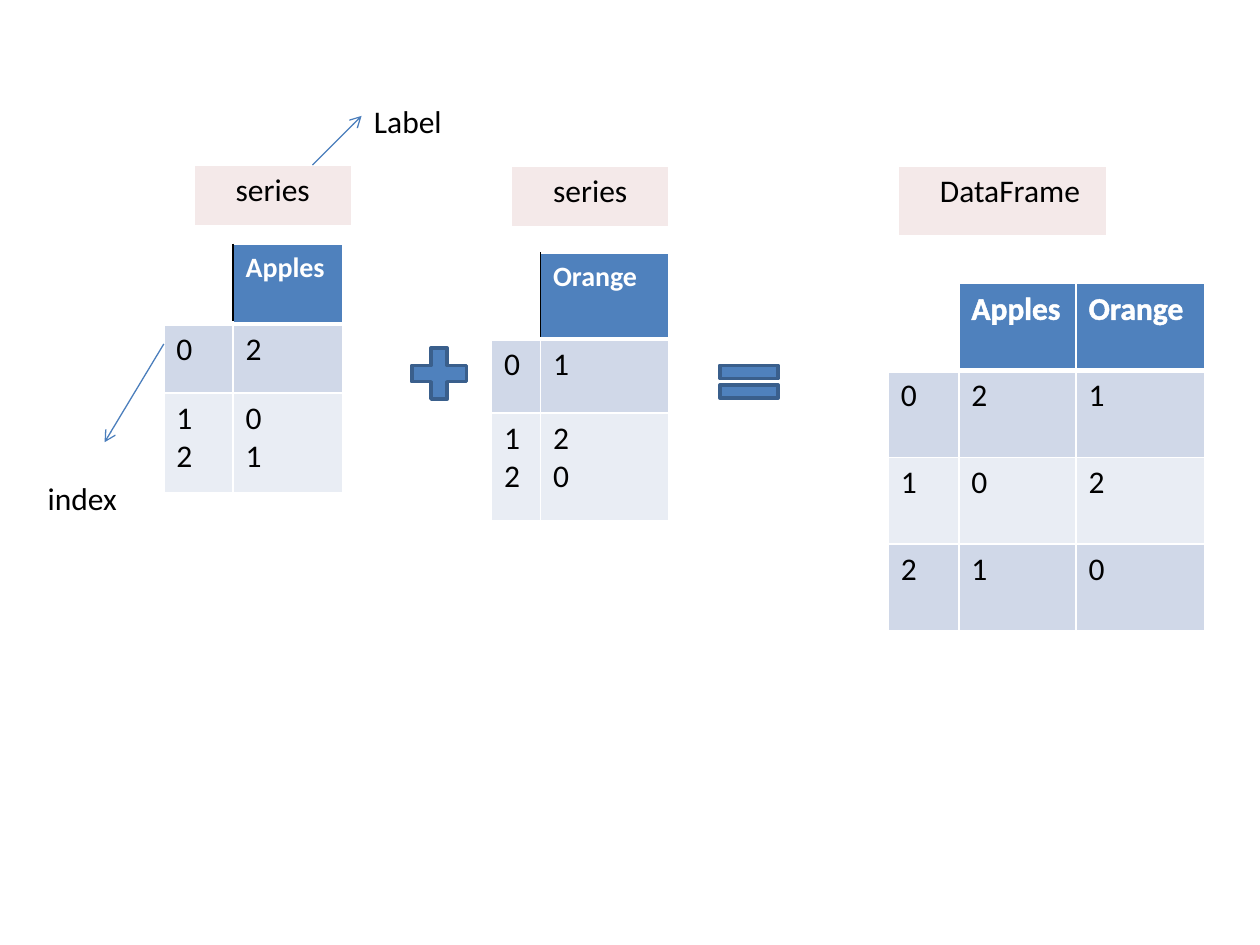
"""Build a slide showing two labelled series combining into a DataFrame."""
from lxml.etree import SubElement
from pptx import Presentation
from pptx.dml.color import RGBColor
from pptx.enum.shapes import MSO_CONNECTOR, MSO_SHAPE
from pptx.oxml import parse_xml
from pptx.oxml.ns import nsdecls, qn
from pptx.util import Inches, Pt

COLORS = {
    "white": "FFFFFF",
    "black": "000000",
    "header": "4F81BD",
    "odd_row": "D0D8E8",
    "even_row": "E9EDF4",
    "heading": "F4E9E9",
    "arrow": "4B7EBC",
    "operator_line": "3A5F8C",
}


def rgb(name):
    return RGBColor.from_string(COLORS[name])


def line_xml(tag, color, width):
    return parse_xml(
        f'<a:{tag} {nsdecls("a")} w="{Pt(width)}"><a:solidFill>'
        f'<a:srgbClr val="{COLORS[color]}"/></a:solidFill></a:{tag}>'
    )


class SeriesSlide:
    """Hold the text style and the current slide, and draw its elements."""

    def __init__(self, slide, font="Calibri", size=18):
        self.slide = slide
        self.font = font
        self.size = size

    def style_text(self, frame, color="black", size=None, bold=False, outlined=False):
        for paragraph in frame.paragraphs:
            for run in paragraph.runs:
                run.font.name = self.font
                run.font.size = Pt(size or self.size)
                run.font.bold = bold
                run.font.color.rgb = rgb(color)
                if outlined:
                    run.font._element.insert(0, line_xml("ln", color, 0.75))

    def style_cell(self, cell, fill, **special_borders):
        properties = cell._tc.get_or_add_tcPr()
        for side in "LRTB":
            color, width = special_borders.get(side, ("white", 1))
            properties.append(line_xml(f"ln{side}", color, width))
        cell.fill.solid()
        cell.fill.fore_color.rgb = rgb(fill)

    def grid(self, left, top, widths, heights):
        frame = self.slide.shapes.add_table(
            len(heights), len(widths), Inches(left), Inches(top),
            Inches(sum(widths)), Inches(sum(heights)),
        )
        table = frame.table
        table.horz_banding = False
        for column, width in zip(table.columns, widths):
            column.width = Inches(width)
        for row, height in zip(table.rows, heights):
            row.height = Inches(height)
        return table

    def heading(self, text, left, top, width, height):
        table = self.grid(left, top, [width], [height])
        table.first_row = False
        cell = table.cell(0, 0)
        cell.text = text
        cell.margin_left = Inches(0.33)
        self.style_text(cell.text_frame)
        self.style_cell(cell, "heading")

    def data_table(self, rows, left, top, widths, heights,
                   header_size=18, divider=("white", 1), outlined=False):
        table = self.grid(left, top, widths, heights)
        rule = ("white", 3)
        for r, values in enumerate(rows):
            for c, value in enumerate(values):
                cell = table.cell(r, c)
                cell.text = value
                if r == 0:
                    self.style_text(cell.text_frame, "white", header_size, True, outlined)
                    side = {0: "R", 1: "L"}.get(c)
                    borders = {side: divider} if side else {}
                    self.style_cell(cell, "header" if c else "white", B=rule, **borders)
                else:
                    self.style_text(cell.text_frame)
                    borders = {"T": rule} if r == 1 else {}
                    self.style_cell(cell, "odd_row" if r % 2 else "even_row", **borders)

    def note(self, text, left, top, width, height=0.4):
        box = self.slide.shapes.add_textbox(
            Inches(left), Inches(top), Inches(width), Inches(height))
        box.text_frame.word_wrap = True
        box.text_frame.text = text
        self.style_text(box.text_frame)

    def arrow(self, start, end):
        connector = self.slide.shapes.add_connector(
            MSO_CONNECTOR.STRAIGHT, *(Inches(value) for value in (*start, *end)))
        connector.line.color.rgb = rgb("arrow")
        connector.line.width = Pt(0.75)
        SubElement(connector.line._get_or_add_ln(), qn("a:tailEnd")).set("type", "arrow")
        SubElement(connector._element.spPr, qn("a:effectLst"))

    def operator(self, kind, left, top, width, height):
        sign = self.slide.shapes.add_shape(
            kind, Inches(left), Inches(top), Inches(width), Inches(height))
        sign.shadow.inherit = False
        sign.fill.solid()
        sign.fill.fore_color.rgb = rgb("header")
        sign.line.color.rgb = rgb("operator_line")
        sign.line.width = Pt(2)


def main():
    presentation = Presentation()
    presentation.slide_width = Inches(10)
    presentation.slide_height = Inches(7.5)
    page = SeriesSlide(presentation.slides.add_slide(presentation.slide_layouts[6]))
    series_style = {"header_size": 16, "divider": ("black", 1)}

    apples = [("", "Apples"), ("0", "2"), ("1\n2", "0\n1")]
    page.data_table(apples, 1.3, 1.94, [0.55, 0.87], [0.63, 0.55, 0.79], **series_style)
    page.heading("series", 1.54, 1.31, 1.25, 0.48)
    page.arrow((2.48, 1.31), (2.87, 0.92))
    page.note("Label", 2.87, 0.76, 1.5)
    page.arrow((1.3, 2.73), (0.83, 3.51))
    page.note("index", 0.28, 3.75, 1.02)

    page.operator(MSO_SHAPE.MATH_PLUS, 3.19, 2.69, 0.59, 0.55)

    oranges = [("", "Orange"), ("0", "1"), ("1\n2", "2\n0")]
    page.heading("series", 4.06, 1.32, 1.25, 0.48)
    page.data_table(oranges, 3.9, 2.01, [0.39, 1.02], [0.68, 0.59, 0.85], **series_style)

    page.operator(MSO_SHAPE.MATH_EQUAL, 5.63, 2.81, 0.63, 0.44)

    fruit = [("", "Apples", "Orange"), ("0", "2", "1"), ("1", "0", "2"), ("2", "1", "0")]
    page.heading("DataFrame", 7.13, 1.32, 1.65, 0.55)
    page.data_table(fruit, 7.05, 2.25, [0.56, 0.93, 1.02], [0.69] * 4, outlined=True)

    presentation.save("out.pptx")


if __name__ == "__main__":
    main()
